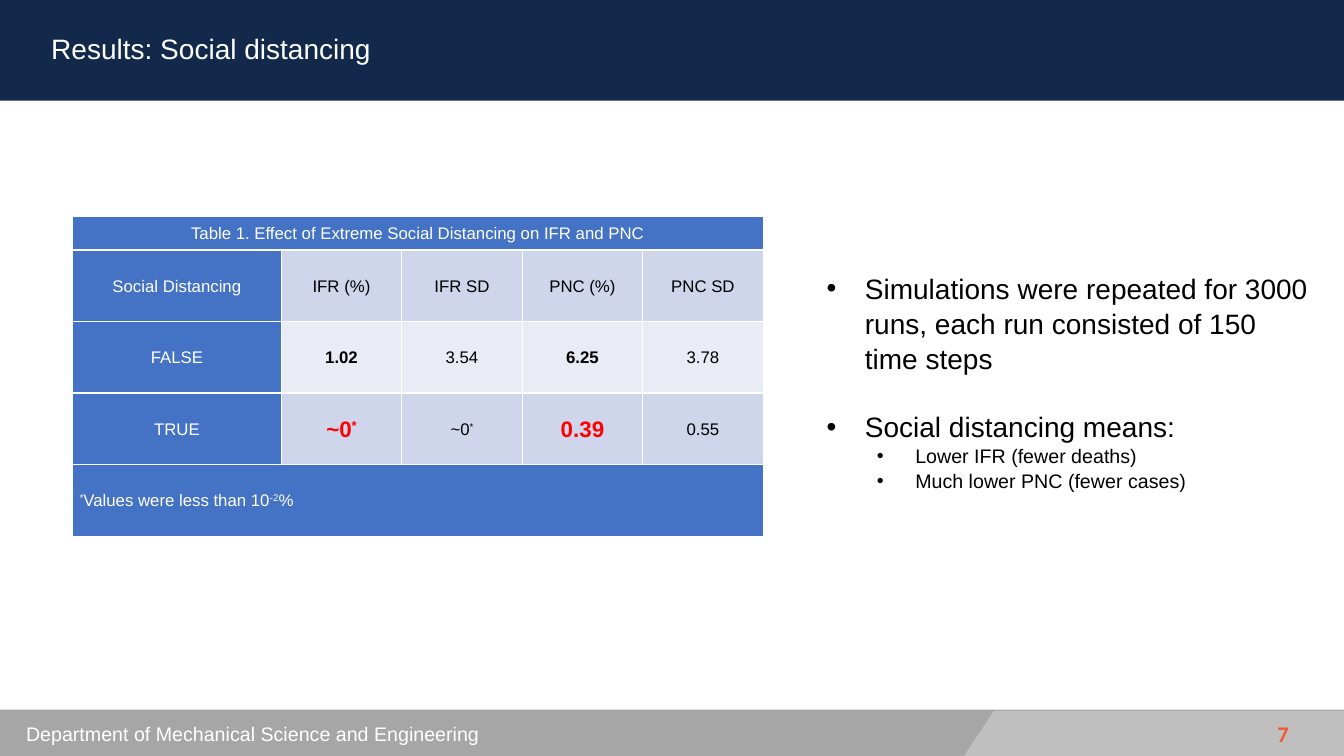
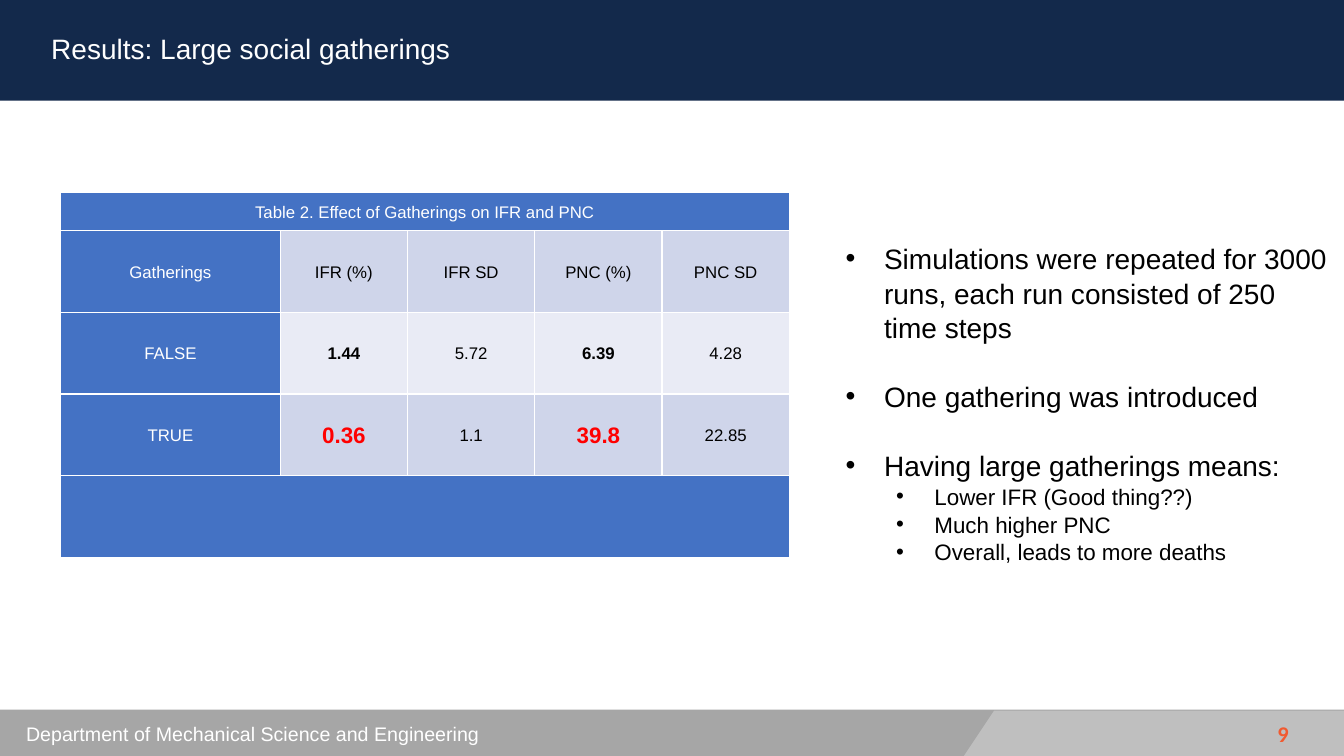
from lxml import etree
from pptx import Presentation
from pptx.dml.color import RGBColor
from pptx.enum import shapes, text
from pptx.oxml import ns
from pptx.util import Inches, Pt

NAVY = RGBColor(0x13, 0x29, 0x4B)
BLUE = RGBColor(0x44, 0x72, 0xC4)
PALE_DARK = RGBColor(0xCF, 0xD5, 0xEA)
PALE_LIGHT = RGBColor(0xE9, 0xEB, 0xF5)
GREY = RGBColor(0xA6, 0xA6, 0xA6)
LIGHT_GREY = RGBColor(0xBF, 0xBF, 0xBF)
ORANGE = RGBColor(0xF1, 0x5A, 0x30)
RED = RGBColor(0xFF, 0x00, 0x00)
BLACK = RGBColor(0x00, 0x00, 0x00)
WHITE = RGBColor(0xFF, 0xFF, 0xFF)

SLIDE_W, SLIDE_H = 13.33, 7.5
FOOTER_TOP = 7.04
DEPARTMENT = "Department of Mechanical Science and Engineering"
MEASURES = ["IFR (%)", "IFR SD", "PNC (%)", "PNC SD"]
KEY_COLUMNS = (1, 3)

TITLE = {"name": "Arial", "size": Pt(20), "color": WHITE}
FOOTER = {"name": "Arial", "size": Pt(14), "color": WHITE}
NUMBER = {"name": "Calibri", "size": Pt(16), "color": ORANGE, "bold": True}
POINT = {"name": "Arial", "size": Pt(20), "color": BLACK}
LABEL = {"name": "Arial", "size": Pt(12), "color": WHITE}
VALUE = {**LABEL, "color": BLACK}
KEY_VALUE = {**VALUE, "bold": True}
FINDING = {**KEY_VALUE, "size": Pt(16), "color": RED}

# Text between a pair of ^ marks is superscript.
RESULTS = [
    {
        "title": "Results: Social distancing",
        "number": "7",
        "caption": "Table 1. Effect of Extreme Social Distancing on IFR and PNC",
        "rows": [
            ["Social Distancing", *MEASURES],
            ["FALSE", "1.02", "3.54", "6.25", "3.78"],
            ["TRUE", "~0^*^", "~0^*^", "0.39", "0.55"],
        ],
        "footnote": "^*^Values were less than 10^-2^%",
        "table": {"left": 0.72, "top": 2.15, "width": 6.85, "label_w": 2.07,
                  "caption_h": 0.33, "row_h": 0.71},
        "points": [
            ("Simulations were repeated for 3000 runs, each run consisted of 150 time steps", []),
            ("Social distancing means:",
             ["Lower IFR (fewer deaths)", "Much lower PNC (fewer cases)"]),
        ],
        "points_at": (8.1, 2.63),
        "detail_size": 14,
    },
    {
        "title": "Results: Large social gatherings",
        "number": "9",
        "caption": "Table 2. Effect of Gatherings on IFR and PNC",
        "rows": [
            ["Gatherings", *MEASURES],
            ["FALSE", "1.44", "5.72", "6.39", "4.28"],
            ["TRUE", "0.36", "1.1", "39.8", "22.85"],
        ],
        "footnote": "",
        "table": {"left": 0.6, "top": 1.91, "width": 7.23, "label_w": 2.18,
                  "caption_h": 0.38, "row_h": 0.81},
        "points": [
            ("Simulations were repeated for 3000 runs, each run consisted of 250 time steps", []),
            ("One gathering was introduced", []),
            ("Having large gatherings means:",
             ["Lower IFR (Good thing??)", "Much higher PNC", "Overall, leads to more deaths"]),
        ],
        "points_at": (8.29, 2.33),
        "detail_size": 16,
    },
]


def write(paragraph, marked, style):
    """Add marked text as runs, raising the parts between ^ marks."""
    for i, part in enumerate(marked.split("^")):
        if not part:
            continue
        run = paragraph.add_run()
        run.text = part
        for key, value in style.items():
            if key == "color":
                run.font.color.rgb = value
            else:
                setattr(run.font, key, value)
        if i % 2:
            run.font._element.set("baseline", "30000")


def add_text_frame(slide, left, top, width, height):
    box = slide.shapes.add_textbox(*map(Inches, (left, top, width, height)))
    box.text_frame.word_wrap = True
    return box.text_frame


def paint(shape, color):
    shape.shadow.inherit = False
    shape.fill.solid()
    shape.fill.fore_color.rgb = color
    shape.line.fill.background()


def add_band(slide, top, height, color):
    band = slide.shapes.add_shape(
        shapes.MSO_SHAPE.RECTANGLE, 0, Inches(top), Inches(SLIDE_W), Inches(height))
    paint(band, color)


def add_frame(slide, title, number):
    """Draw the bands, title, department and slide number."""
    add_band(slide, 0, 1, NAVY)
    write(add_text_frame(slide, 0.41, 0.26, 12.06, 0.44).paragraphs[0], title, TITLE)

    add_band(slide, FOOTER_TOP, SLIDE_H - FOOTER_TOP, GREY)
    corner = [(9.56, SLIDE_H), (SLIDE_W, SLIDE_H), (SLIDE_W, 7.05), (9.86, 7.05)]
    start, *others = [(Inches(x), Inches(y)) for x, y in corner]
    builder = slide.shapes.build_freeform(*start)
    builder.add_line_segments(others, close=True)
    paint(builder.convert_to_shape(), LIGHT_GREY)
    write(add_text_frame(slide, 0.16, 7.11, 7.03, 0.34).paragraphs[0], DEPARTMENT, FOOTER)

    number_frame = add_text_frame(slide, 9.88, 7.08, 3, 0.4)
    number_frame.vertical_anchor = text.MSO_ANCHOR.MIDDLE
    number_frame.paragraphs[0].alignment = text.PP_ALIGN.RIGHT
    write(number_frame.paragraphs[0], number, NUMBER)


def add_borders(cell):
    """Give a cell 1 pt white lines, placed before its fill as the schema asks."""
    properties = cell._tc.get_or_add_tcPr()
    for i, side in enumerate(("lnL", "lnR", "lnT", "lnB")):
        line = etree.Element(ns.qn(f"a:{side}"), w=str(Pt(1)))
        fill = etree.SubElement(line, ns.qn("a:solidFill"))
        etree.SubElement(fill, ns.qn("a:srgbClr"), val=str(WHITE))
        properties.insert(i, line)


def cell_look(row, column, last_row):
    """Return the fill and text style for a place in the results table."""
    if row in (0, last_row) or column == 0:
        return BLUE, LABEL
    fill = PALE_DARK if row % 2 else PALE_LIGHT
    if row == 1 or column not in KEY_COLUMNS:
        return fill, VALUE
    return fill, FINDING if row == last_row - 1 else KEY_VALUE


def add_results_table(slide, result):
    place = result["table"]
    columns = len(MEASURES) + 1
    blanks = [""] * len(MEASURES)
    rows = [[result["caption"], *blanks], *result["rows"], [result["footnote"], *blanks]]
    last_row = len(rows) - 1
    height = place["caption_h"] + last_row * place["row_h"]
    table = slide.shapes.add_table(
        len(rows), columns, Inches(place["left"]), Inches(place["top"]),
        Inches(place["width"]), Inches(height)).table

    measure_w = (place["width"] - place["label_w"]) / len(MEASURES)
    for c, column in enumerate(table.columns):
        column.width = Inches(measure_w if c else place["label_w"])
    for r, row in enumerate(table.rows):
        row.height = Inches(place["row_h"] if r else place["caption_h"])

    for r, row in enumerate(rows):
        for c, content in enumerate(row):
            cell = table.cell(r, c)
            fill, style = cell_look(r, c, last_row)
            cell.fill.solid()
            cell.fill.fore_color.rgb = fill
            add_borders(cell)
            cell.vertical_anchor = text.MSO_ANCHOR.MIDDLE
            cell.margin_left = cell.margin_right = Inches(0.07)
            cell.margin_top = cell.margin_bottom = 0
            paragraph = cell.text_frame.paragraphs[0]
            paragraph.line_spacing = 1.07
            if r < last_row:
                paragraph.alignment = text.PP_ALIGN.CENTER
            write(paragraph, content, style)
    for r in (0, last_row):
        table.cell(r, 0).merge(table.cell(r, columns - 1))


def add_bullet(paragraph, level):
    properties = paragraph._p.get_or_add_pPr()
    properties.set("marL", str(Inches(0.38 + 0.5 * level)))
    properties.set("indent", str(Inches(-0.38)))
    color = etree.SubElement(properties, ns.qn("a:buClr"))
    etree.SubElement(color, ns.qn("a:srgbClr"), val=str(BLACK))
    etree.SubElement(properties, ns.qn("a:buFont"), typeface="Arial")
    etree.SubElement(properties, ns.qn("a:buChar"), char="•")
    paragraph.level = level


def add_points(slide, result):
    frame = add_text_frame(slide, *result["points_at"], 5.04, 4.41)
    detail_style = {**POINT, "size": Pt(result["detail_size"])}
    lines = []
    for point, details in result["points"]:
        lines.append((point, 0, POINT))
        lines += [(detail, 1, detail_style) for detail in details]
    for i, (line, level, style) in enumerate(lines):
        paragraph = frame.add_paragraph() if i else frame.paragraphs[0]
        add_bullet(paragraph, level)
        paragraph.line_spacing = 1.04
        if i and level == 0:
            paragraph.space_before = Pt(24)
        write(paragraph, line, style)


def main():
    deck = Presentation()
    deck.slide_width, deck.slide_height = Inches(SLIDE_W), Inches(SLIDE_H)
    blank = deck.slide_layouts[6]
    for result in RESULTS:
        slide = deck.slides.add_slide(blank)
        add_frame(slide, result["title"], result["number"])
        add_results_table(slide, result)
        add_points(slide, result)
    deck.save("out.pptx")


if __name__ == "__main__":
    main()
